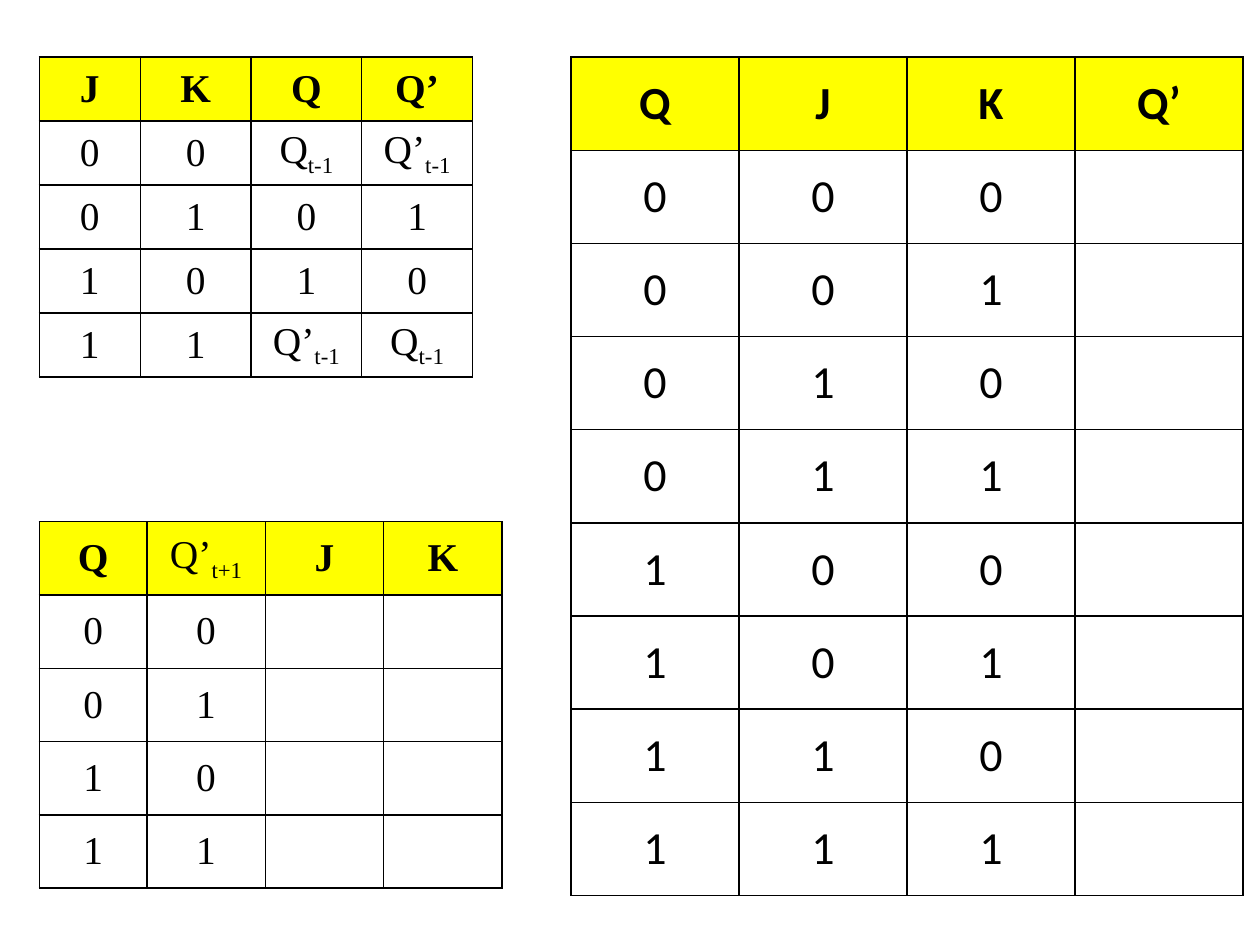
import itertools
import lxml.etree
import pptx
import pptx.dml.color
import pptx.enum.text
import pptx.oxml.ns
import pptx.util

Pt = pptx.util.Pt
BLACK = "000000"
YELLOW = "FFFF00"


def paint(color, code):
    color.rgb = pptx.dml.color.RGBColor.from_string(code)


def add_node(parent, tag, **attrs):
    return lxml.etree.SubElement(parent, pptx.oxml.ns.qn(tag), **attrs)


def frame_cell(cell):
    props = cell._tc.get_or_add_tcPr()
    for side in ("a:lnL", "a:lnR", "a:lnT", "a:lnB"):
        line = add_node(props, side, w=str(Pt(1)))
        fill = add_node(line, "a:solidFill")
        add_node(fill, "a:srgbClr", val=BLACK)


def write_cell(cell, text, font, size, head):
    cell.vertical_anchor = pptx.enum.text.MSO_ANCHOR.MIDDLE
    base, _, sub = text.partition("_")
    para = cell.text_frame.paragraphs[0]
    para.alignment = pptx.enum.text.PP_ALIGN.CENTER
    para.font.name = font
    para.font.size = Pt(size)
    para.font.bold = head and not sub
    paint(para.font.color, BLACK)
    if base:
        para.add_run().text = base
    if sub:
        run = para.add_run()
        run.text = sub
        run._r.get_or_add_rPr().set("baseline", "-25000")


def add_grid(slide, left, top, widths, height, rows, font, size):
    shape = slide.shapes.add_table(
        len(rows), len(widths), Pt(left), Pt(top),
        Pt(sum(widths)), Pt(height * len(rows)))
    table = shape.table
    table.first_row = False
    table.horz_banding = False
    for column, width in zip(table.columns, widths):
        column.width = Pt(width)
    for index, texts in enumerate(rows):
        table.rows[index].height = Pt(height)
        for place, text in enumerate(texts):
            cell = table.cell(index, place)
            frame_cell(cell)
            if index == 0:
                cell.fill.solid()
                paint(cell.fill.fore_color, YELLOW)
            else:
                cell.fill.background()
            write_cell(cell, text, font, size, index == 0)


def list_bits(count, blanks):
    return [bits + ("",) * blanks
            for bits in itertools.product("01", repeat=count)]


def main():
    deck = pptx.Presentation()
    deck.slide_width = Pt(768)
    deck.slide_height = Pt(576)
    slide = deck.slides.add_slide(deck.slide_layouts[6])
    states = [("Q_t-1", "Q’_t-1"), ("0", "1"), ("1", "0"), ("Q’_t-1", "Q_t-1")]
    truth = [bits + state for bits, state in zip(list_bits(2, 0), states)]
    serif = "Times New Roman"
    add_grid(slide, 24, 34.8, [61.5] + [67.5] * 3, 39,
             [("J", "K", "Q", "Q’")] + truth, serif, 24)
    add_grid(slide, 348, 34.8, [102.4] * 4, 56.8,
             [("Q", "J", "K", "Q’")] + list_bits(3, 1), "Calibri", 28)
    add_grid(slide, 24, 318, [65.5] + [72.2] * 3, 44.7,
             [("Q", "Q’_t+1", "J", "K")] + list_bits(2, 2), serif, 24)
    deck.save("out.pptx")


if __name__ == "__main__":
    main()
